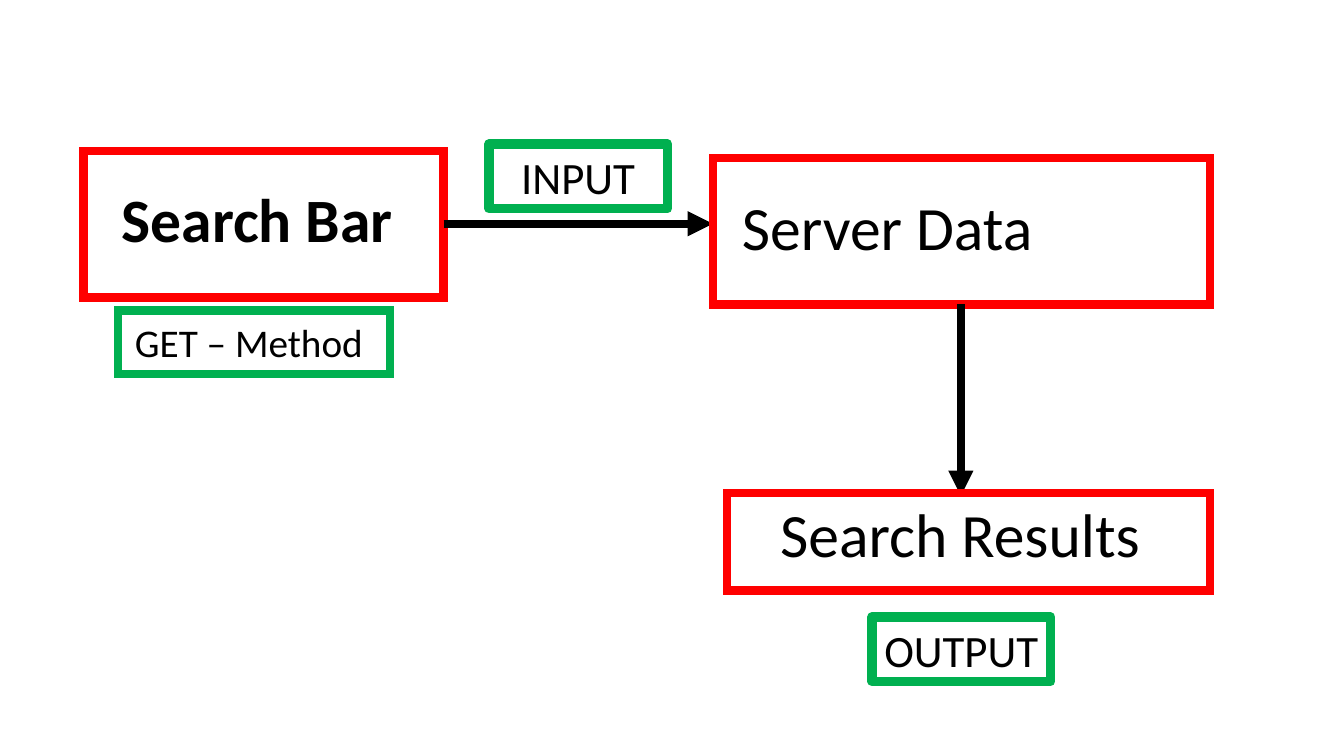
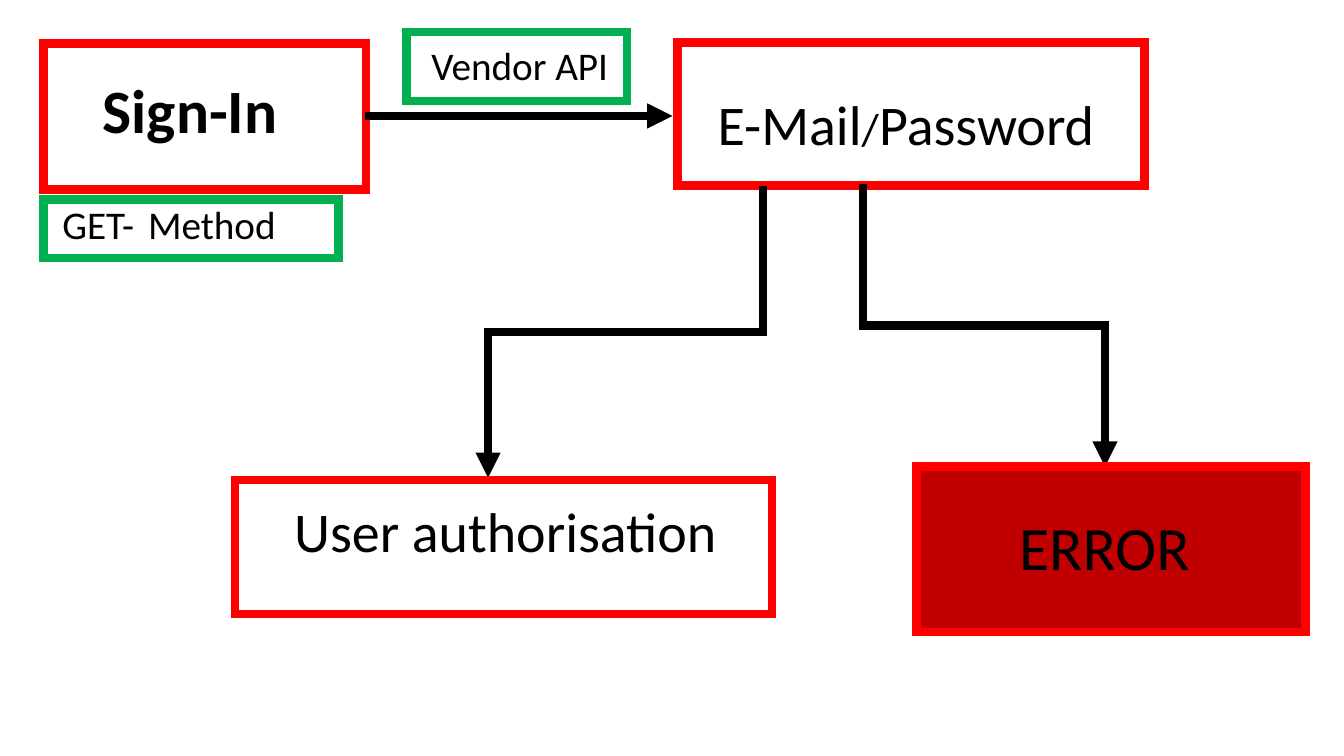
from lxml.etree import SubElement
from pptx import Presentation
from pptx.dml.color import RGBColor
from pptx.enum.shapes import MSO_CONNECTOR, MSO_SHAPE
from pptx.enum.text import MSO_ANCHOR, PP_ALIGN
from pptx.oxml.ns import qn
from pptx.util import Inches, Pt

# Shared look
COLORS = {"step": "FF0000", "tag": "00B050", "error": "C00000", "ink": "000000"}
FONT = "Calibri"
LINE_WIDTH = 6


def rgb(name):
    return RGBColor.from_string(COLORS[name])


def write_text(frame, text, size=44, bold=False, align=PP_ALIGN.LEFT,
               anchor=MSO_ANCHOR.TOP, spacing=None):
    """Write one paragraph; text is a string or a list of (words, size)."""
    frame.word_wrap = True
    frame.vertical_anchor = anchor
    para = frame.paragraphs[0]
    para.alignment = align
    if spacing:
        para.line_spacing = spacing
    spans = [(text, size)] if isinstance(text, str) else text
    for words, points in spans:
        span = para.add_run()
        span.text = words
        span.font.name = FONT
        span.font.size = Pt(points)
        span.font.bold = bold
        span.font.color.rgb = rgb("ink")


def add_label(page, left, top, width, height, text, **text_format):
    label = page.shapes.add_textbox(
        Inches(left), Inches(top), Inches(width), Inches(height))
    write_text(label.text_frame, text, **text_format)


def style_line(line, color, width=LINE_WIDTH, join="miter"):
    line.color.rgb = rgb(color)
    line.width = Pt(width)
    return SubElement(line._get_or_add_ln(), qn(f"a:{join}"))


def add_frame(page, left, top, width, height, color, fill=None,
              line_width=LINE_WIDTH, join="miter"):
    """Draw an outlined rectangle."""
    box = page.shapes.add_shape(
        MSO_SHAPE.RECTANGLE,
        Inches(left), Inches(top), Inches(width), Inches(height))
    box.shadow.inherit = False
    if fill:
        box.fill.solid()
        box.fill.fore_color.rgb = rgb(fill)
    else:
        box.fill.background()
    style_line(box.line, color, line_width, join)
    return box


def add_data_tag(page, left, top, text):
    """Draw a round-cornered tag that carries its own centred text."""
    tag = add_frame(page, left, top, 1.77, 0.64, "tag",
                    line_width=6.75, join="round")
    write_text(tag.text_frame, text, size=32, align=PP_ALIGN.CENTER,
               anchor=MSO_ANCHOR.MIDDLE)


def add_arrow(page, start, end, kind=MSO_CONNECTOR.STRAIGHT):
    arrow = page.shapes.add_connector(
        kind, *(Inches(length) for length in (*start, *end)))
    style_line(arrow.line, "ink")
    SubElement(arrow.line._get_or_add_ln(), qn("a:tailEnd"), type="triangle")
    SubElement(arrow.element.spPr, qn("a:effectLst"))
    return arrow


def add_branch(page, start, end):
    """Draw an elbow arrow that goes down, sideways, then down again."""
    (start_x, start_y), (end_x, end_y) = start, end
    center_x, center_y = (start_x + end_x) / 2, (start_y + end_y) / 2
    # An elbow leaves sideways, so lay it out flat and turn it a quarter
    goes_right = end_x > start_x
    half_drop = (end_y - start_y) / 2 * (-1 if goes_right else 1)
    half_run = abs(end_x - start_x) / 2
    arrow = add_arrow(page, (center_x - half_drop, center_y - half_run),
                      (center_x + half_drop, center_y + half_run),
                      MSO_CONNECTOR.ELBOW)
    degrees = 270 if goes_right else 90
    arrow.element.spPr.find(qn("a:xfrm")).set("rot", str(degrees * 60000))


def build_search(page):
    # Search bar
    add_label(page, 1.11, 1.83, 3.14, 0.76, "Search Bar", bold=True,
              anchor=MSO_ANCHOR.MIDDLE, spacing=0.9)
    add_label(page, 1.24, 3.2, 2.75, 0.51, "GET – Method", size=28, spacing=0.8)
    add_frame(page, 0.83, 1.5, 3.57, 1.45, "step")
    add_frame(page, 1.17, 3.08, 2.7, 0.63, "tag")
    add_arrow(page, (4.4, 2.22), (7.07, 2.22))

    # Server
    add_label(page, 7.26, 1.83, 4.45, 0.84, "Server Data")
    add_frame(page, 7.07, 1.57, 4.93, 1.45, "step")
    add_arrow(page, (9.53, 3.02), (9.53, 4.92))

    # Results
    add_label(page, 7.64, 4.87, 4.06, 0.84, "Search Results")
    add_frame(page, 7.21, 4.89, 4.79, 0.97, "step")

    # Data tags
    add_data_tag(page, 4.85, 1.43, "INPUT")
    add_data_tag(page, 8.65, 6.12, "OUTPUT")


def build_sign_in(page):
    # Sign-in
    add_label(page, 0.92, 0.4, 1.95, 1.45, "Sign-In", bold=True,
              anchor=MSO_ANCHOR.MIDDLE, spacing=0.9)
    add_frame(page, 0.43, 0.43, 3.2, 1.45, "step")
    add_label(page, 0.52, 1.72, 3.56, 0.84,
              [("GET-", 28), (" ", 44), ("Method", 28)])
    add_frame(page, 0.43, 1.98, 2.93, 0.58, "tag")

    # Credentials and their two outcomes
    add_label(page, 7.02, 0.84, 4.33, 0.77,
              [("E-Mail", 40), ("/", 32), ("Password", 40)])
    add_frame(page, 6.72, 0.42, 4.63, 1.42, "step")
    add_branch(page, (7.57, 1.85), (4.84, 4.74))
    add_branch(page, (8.56, 1.83), (10.96, 4.63))

    # Authorisation
    add_label(page, 2.82, 4.88, 4.64, 0.77, "User authorisation", size=40)
    add_frame(page, 2.33, 4.76, 5.33, 1.33, "step")

    # Error
    add_frame(page, 9.09, 4.63, 3.86, 1.64, "step", fill="error")
    add_label(page, 10.01, 5, 3.33, 0.84, "ERROR")

    # Interface between sign-in and credentials
    add_label(page, 4.18, 0.36, 2.26, 0.57, "Vendor API", size=28)
    add_frame(page, 4.03, 0.32, 2.19, 0.68, "tag")
    add_arrow(page, (3.62, 1.15), (6.67, 1.15))


def main():
    deck = Presentation()
    deck.slide_width, deck.slide_height = Inches(13.33), Inches(7.5)
    blank_layout = deck.slide_layouts[6]
    for build in (build_search, build_sign_in):
        build(deck.slides.add_slide(blank_layout))
    deck.save("out.pptx")


if __name__ == "__main__":
    main()
